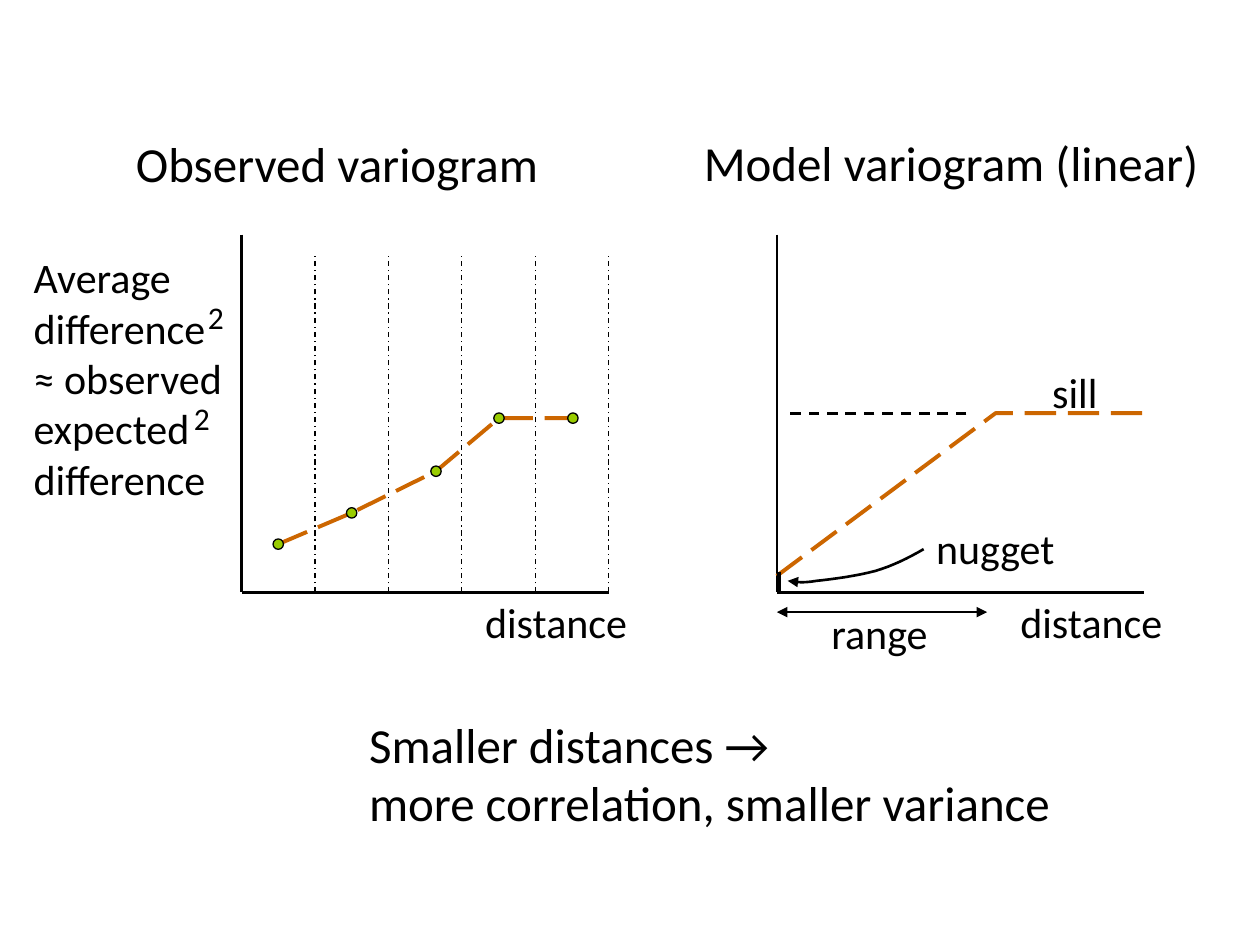
from lxml.etree import SubElement
from pptx import Presentation
from pptx.dml.color import RGBColor
from pptx.enum.dml import MSO_LINE_DASH_STYLE as Dash
from pptx.enum.shapes import MSO_CONNECTOR_TYPE as Connector, MSO_SHAPE as Shape
from pptx.enum.text import MSO_AUTO_SIZE as AutoSize
from pptx.oxml.ns import qn
from pptx.util import Cm, Pt

BLACK = RGBColor(0x00, 0x00, 0x00)
ORANGE = RGBColor(0xCC, 0x66, 0x00)
GREEN = RGBColor(0x99, 0xCC, 0x00)
FONT = "Calibri"

# Shared plot geometry, in centimetres
AXIS_TOP, AXIS_BOTTOM, AXIS_WIDTH = 4.73, 11.94, 7.4
OBSERVED_LEFT, MODEL_LEFT = 4.87, 15.66
BIN_TOP, BIN_COUNT = 5.16, 5
DOT_SIZE = 0.21
SILL_Y = 8.33

OBSERVED_POINTS = [(5.61, 10.97), (7.09, 10.34), (8.79, 9.5), (10.06, 8.43), (11.55, 8.43)]
MODEL_POINTS = [(MODEL_LEFT, 11.61), (20.07, SILL_Y), (23.06, SILL_Y)]
NUGGET_START = (18.62, 11.07)
NUGGET_CURVES = [
    [(18.31, 11.25), (18.01, 11.4), (17.65, 11.51)],
    [(17.27, 11.61), (16.76, 11.68), (16.46, 11.71)],
    [(16.18, 11.76), (16.03, 11.73), (15.88, 11.71)],
]


def style_line(line, color, width, dash=None, arrows=()):
    line.color.rgb = color
    line.width = Pt(width)
    if dash is not None:
        line.dash_style = dash
    for end in arrows:
        SubElement(line._get_or_add_ln(), qn(f"a:{end}"), type="triangle")


def add_line(slide, start, end, width=1.5, dash=None, arrows=()):
    points = [Cm(value) for value in (*start, *end)]
    connector = slide.shapes.add_connector(Connector.STRAIGHT, *points)
    style_line(connector.line, BLACK, width, dash, arrows)
    SubElement(connector._element.spPr, qn("a:effectLst"))


def add_path(slide, points, color, width, dash=None, arrows=()):
    corners = [(Cm(x), Cm(y)) for x, y in points]
    builder = slide.shapes.build_freeform(*corners[0])
    builder.add_line_segments(corners[1:], close=False)
    shape = builder.convert_to_shape()
    shape.fill.background()
    shape.shadow.inherit = False
    style_line(shape.line, color, width, dash, arrows)


def add_dot(slide, x, y):
    corner = Cm(x - DOT_SIZE / 2), Cm(y - DOT_SIZE / 2)
    shape = slide.shapes.add_shape(Shape.OVAL, *corner, Cm(DOT_SIZE), Cm(DOT_SIZE))
    shape.fill.solid()
    shape.fill.fore_color.rgb = GREEN
    shape.shadow.inherit = False
    style_line(shape.line, BLACK, 0.75)


def add_text(slide, lines, left, top, width, height=1.27, size=24, wrap=False):
    box = slide.shapes.add_textbox(Cm(left), Cm(top), Cm(width), Cm(height))
    frame = box.text_frame
    frame.word_wrap = wrap
    frame.auto_size = AutoSize.SHAPE_TO_FIT_TEXT
    paragraph = frame.paragraphs[0]
    for index, line in enumerate(lines):
        if index:
            paragraph.add_line_break()
        run = paragraph.add_run()
        run.text = line
        run.font.name = FONT
        run.font.size = Pt(size)
        run.font.color.rgb = BLACK
    paragraph.font.size = Pt(size)


def add_axes(slide, left):
    origin = (left, AXIS_BOTTOM)
    add_line(slide, (left, AXIS_TOP), origin)
    add_line(slide, origin, (left + AXIS_WIDTH, AXIS_BOTTOM))
    add_text(slide, ["distance"], left + 4.66, 11.91, 3.4)


def curve_points(start, curves, steps=8):
    """Sample a chain of cubic Bézier curves."""
    points = [start]
    for first, second, end in curves:
        begin = points[-1]
        for step in range(1, steps + 1):
            t = step / steps
            weights = ((1 - t) ** 3, 3 * t * (1 - t) ** 2, 3 * t**2 * (1 - t), t**3)
            controls = (begin, first, second, end)
            points.append(tuple(
                sum(weight * point[axis] for weight, point in zip(weights, controls))
                for axis in (0, 1)))
    return points


def add_observed_variogram(slide):
    add_path(slide, OBSERVED_POINTS, ORANGE, 2.25, Dash.LONG_DASH)
    add_axes(slide, OBSERVED_LEFT)
    # Distance bins
    for index in range(1, BIN_COUNT + 1):
        x = OBSERVED_LEFT + index * AXIS_WIDTH / BIN_COUNT
        add_line(slide, (x, AXIS_BOTTOM), (x, BIN_TOP), 0.75, Dash.DASH_DOT)
    for x, y in OBSERVED_POINTS:
        add_dot(slide, x, y)
    # Heading and vertical axis label
    add_text(slide, ["Observed variogram"], 2.49, 2.57, 8.71, 1.45, 28)
    label = ["Average", "difference", "≈ observed", "expected", "difference"]
    add_text(slide, label, 0.43, 4.95, 5.11, 5.38, wrap=True)
    for left, top in ((3.94, 5.89), (3.66, 7.92)):
        add_text(slide, ["2"], left, top, 0.84, 1.02, 18)


def add_model_variogram(slide):
    add_axes(slide, MODEL_LEFT)
    add_path(slide, MODEL_POINTS, ORANGE, 2.25, Dash.LONG_DASH)
    add_text(slide, ["Model variogram (linear)"], 13.94, 2.54, 10.57, 1.45, 28)
    # Range and sill
    add_line(slide, (MODEL_LEFT, 12.34), (19.9, 12.34), arrows=("headEnd", "tailEnd"))
    add_text(slide, ["range"], 16.51, 12.12, 2.46)
    add_line(slide, (19.48, SILL_Y), (15.88, SILL_Y), dash=Dash.DASH)
    add_text(slide, ["sill"], 20.96, 7.26, 1.42)
    # Nugget
    add_text(slide, ["nugget"], 18.62, 10.41, 2.92)
    nugget_arrow = curve_points(NUGGET_START, NUGGET_CURVES)
    add_path(slide, nugget_arrow, BLACK, 1.5, arrows=("tailEnd",))
    add_line(slide, (15.7, 11.53), (15.7, 11.96), 2.25)


def main():
    presentation = Presentation()
    presentation.slide_width = Cm(25.4)
    presentation.slide_height = Cm(19.05)
    slide = presentation.slides.add_slide(presentation.slide_layouts[6])

    add_observed_variogram(slide)
    add_model_variogram(slide)
    # Conclusion
    conclusion = ["Smaller distances →", "more correlation, smaller variance"]
    add_text(slide, conclusion, 7.19, 14.27, 16.15, 2.64, 28, wrap=True)

    presentation.save("out.pptx")


if __name__ == "__main__":
    main()
